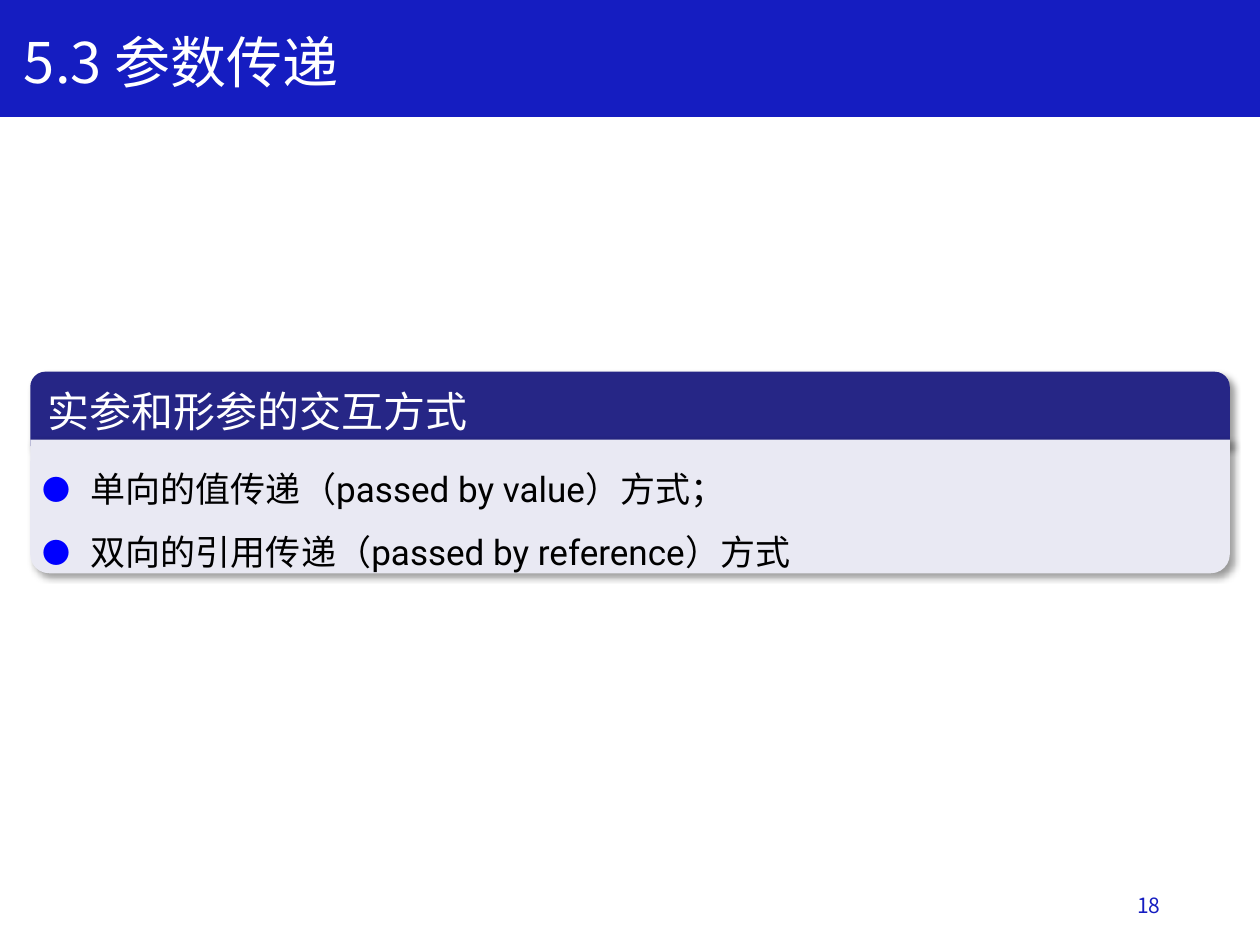
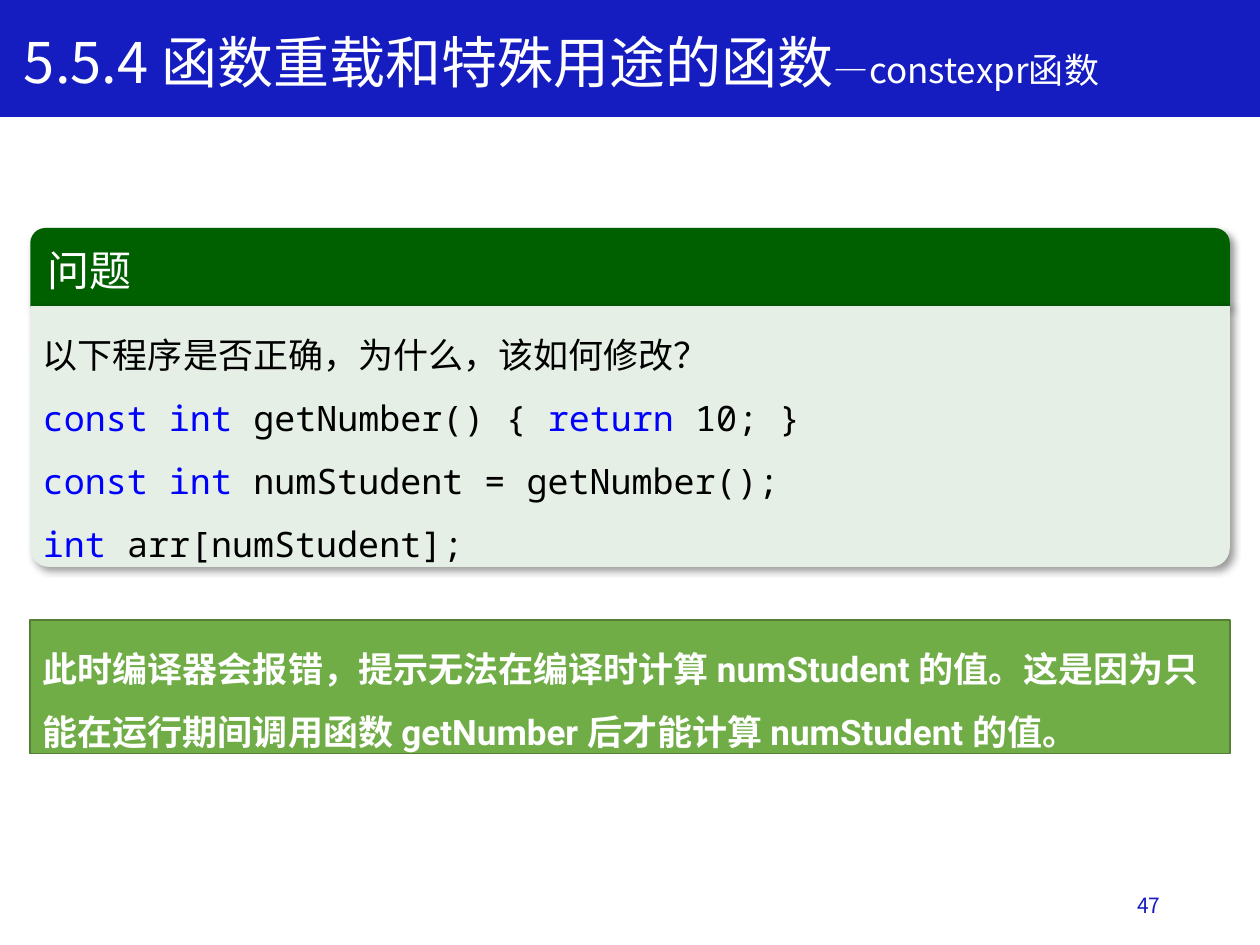
"""Build two lecture slides on parameter passing and constexpr functions."""
from dataclasses import dataclass

from lxml.etree import SubElement
from pptx import Presentation
from pptx.dml.color import RGBColor
from pptx.enum.shapes import MSO_SHAPE
from pptx.enum.text import MSO_ANCHOR, MSO_AUTO_SIZE, PP_ALIGN
from pptx.oxml.ns import qn
from pptx.util import Inches, Pt


@dataclass(frozen=True)
class TextStyle:
    """Font, size, colour and weight of a span."""
    font: str
    size: int
    color: str
    bold: bool = False


@dataclass(frozen=True)
class Theme:
    """Colours, fonts and type sizes of the deck."""
    chinese: str = "Noto Sans CJK SC"
    band: str = "151DC1"
    bullet: str = "0000FF"
    blue_panel: tuple = ("262686", "E9E9F3")
    green_panel: tuple = ("006000", "E5EFE5")
    answer_fill: str = "70AD47"
    answer_line: str = "538035"
    title: TextStyle = TextStyle("Noto Sans CJK SC", 32, "FFFFFF")
    subtitle: TextStyle = TextStyle("Noto Sans CJK SC", 20, "FFFFFF")
    heading: TextStyle = TextStyle("Noto Sans CJK SC", 24, "FFFFFF")
    number: TextStyle = TextStyle("Noto Sans CJK SC", 12, "151DC1")
    body: TextStyle = TextStyle("Noto Sans CJK SC", 20, "000000")
    latin: TextStyle = TextStyle("Roboto", 20, "000000")
    code: TextStyle = TextStyle("Noto Sans Mono", 20, "000000")
    keyword: TextStyle = TextStyle("Noto Sans Mono", 20, "0000FF")
    answer: TextStyle = TextStyle("Noto Sans CJK SC", 20, "FFFFFF", True)
    answer_latin: TextStyle = TextStyle("Roboto", 20, "FFFFFF", True)


THEME = Theme()
LEFT, WIDTH = 0.24, 9.52
HEADER_RADIUS, BODY_RADIUS = 0.12, 0.15


class SlideBuilder:
    """Hold the theme and the current slide, and draw each kind of element."""

    def __init__(self, deck, theme):
        """Keep the deck, its content layout and the theme."""
        self.deck = deck
        self.theme = theme
        self.layout = deck.slide_layouts[1]
        self.slide = None

    def start_slide(self, title_spans, page_number):
        """Add a slide with its title and page number."""
        self.slide = self.deck.slides.add_slide(self.layout)
        if len(self.deck.slides) == 1:
            self.add_shared_band()
        title = self.slide.shapes.title
        self.place(title, 0.09, 0.17, 9.5, 0.64)
        self.fill_text(title.text_frame, [title_spans])
        box = self.slide.shapes.add_textbox(Inches(7.06), Inches(6.98), Inches(2.25), Inches(0.4))
        self.fill_text(box.text_frame, [[(str(page_number), self.theme.number)]],
                       anchor=MSO_ANCHOR.MIDDLE, align=PP_ALIGN.RIGHT)

    def add_shared_band(self):
        """Draw the title band and move it to the shared layout."""
        band = self.add_box(MSO_SHAPE.RECTANGLE, 0, 0, 10, 0.92, self.theme.band, self.theme.band)
        self.layout.shapes._spTree.insert(2, band._element)

    def place(self, shape, left, top, width, height):
        """Move and size a shape in inches."""
        shape.left, shape.top = Inches(left), Inches(top)
        shape.width, shape.height = Inches(width), Inches(height)

    def add_box(self, kind, left, top, width, height, fill, line=None):
        """Add a filled shape, outlined when a line colour is given."""
        box = self.slide.shapes.add_shape(kind, Inches(left), Inches(top), Inches(width), Inches(height))
        box.shadow.inherit = False
        box.fill.solid()
        box.fill.fore_color.rgb = RGBColor.from_string(fill)
        if line:
            box.line.color.rgb = RGBColor.from_string(line)
            box.line.width = Pt(1)
        else:
            box.line.fill.background()
        return box

    def add_rounded_box(self, top, height, fill, top_radius, bottom_radius):
        """Add a shadowed full-width box with rounded top or bottom corners."""
        box = self.add_box(MSO_SHAPE.ROUND_2_SAME_RECTANGLE, LEFT, top, WIDTH, height, fill)
        box.adjustments[0] = top_radius / height
        box.adjustments[1] = bottom_radius / height
        effects = box._element.spPr.find(qn("a:effectLst"))
        shadow = SubElement(effects, qn("a:outerShdw"), blurRad=str(Pt(4)), dist=str(Pt(3)),
                            dir="2700000", algn="tl", rotWithShape="0")
        color = SubElement(shadow, qn("a:srgbClr"), val="000000")
        SubElement(color, qn("a:alpha"), val="40000")
        return box

    def add_panel(self, heading, lines, colors, top, header_height, body_top, body_height, bullets=False):
        """Add a heading bar above a body that holds the slide's main text."""
        header_fill, body_fill = colors
        header = self.add_rounded_box(top, header_height, header_fill, HEADER_RADIUS, 0)
        self.fill_text(header.text_frame, [[(heading, self.theme.heading)]], anchor=MSO_ANCHOR.MIDDLE)
        self.add_rounded_box(body_top, body_height, body_fill, 0, BODY_RADIUS)
        body = self.slide.placeholders[1]
        self.place(body, LEFT, body_top, WIDTH, body_height)
        self.slide.shapes._spTree.append(body._element)
        self.fill_text(body.text_frame, lines, spacing=1.5, bullets=bullets)

    def add_answer(self, spans, top, height):
        """Add the outlined answer box."""
        box = self.add_box(MSO_SHAPE.RECTANGLE, LEFT, top, WIDTH, height,
                           self.theme.answer_fill, self.theme.answer_line)
        self.fill_text(box.text_frame, [spans], spacing=1.5)

    def fill_text(self, frame, lines, anchor=MSO_ANCHOR.TOP, align=PP_ALIGN.LEFT, spacing=1.0, bullets=False):
        """Fill a text frame with one paragraph per line of styled spans."""
        frame.word_wrap = True
        frame.auto_size = MSO_AUTO_SIZE.NONE
        frame.vertical_anchor = anchor
        for index, spans in enumerate(lines):
            para = frame.add_paragraph() if index else frame.paragraphs[0]
            para.alignment = align
            para.line_spacing = spacing
            para.space_before = Pt(0)
            self.set_bullet(para, bullets)
            for text, style in spans:
                self.add_span(para, text, style)

    def set_bullet(self, para, shown):
        """Give a paragraph a round bullet or none."""
        properties = para._p.get_or_add_pPr()
        indent = Inches(0.38) if shown else 0
        properties.set("marL", str(indent))
        properties.set("indent", str(-indent))
        if not shown:
            SubElement(properties, qn("a:buNone"))
            return
        color = SubElement(properties, qn("a:buClr"))
        SubElement(color, qn("a:srgbClr"), val=self.theme.bullet)
        SubElement(properties, qn("a:buSzPct"), val="80000")
        SubElement(properties, qn("a:buFont"), typeface=self.theme.chinese)
        SubElement(properties, qn("a:buChar"), char="●")

    def add_span(self, para, text, style):
        """Append a styled run to a paragraph."""
        span = para.add_run()
        span.text = text
        span.font.size = Pt(style.size)
        span.font.bold = style.bold
        span.font.color.rgb = RGBColor.from_string(style.color)
        span.font.name = style.font
        SubElement(span._r.get_or_add_rPr(), qn("a:ea"), typeface=self.theme.chinese)


def build_parameter_slide(builder):
    """Build the slide on passing parameters."""
    theme = builder.theme
    builder.start_slide([("5.3 参数传递", theme.title)], 18)
    lines = [
        [("单向的值传递（", theme.body), ("passed by value", theme.latin), ("）方式；", theme.body)],
        [("双向的引用传递（", theme.body), ("passed by reference", theme.latin), ("）方式", theme.body)],
    ]
    builder.add_panel("实参和形参的交互方式", lines, theme.blue_panel, top=2.95, header_height=0.59,
                      body_top=3.49, body_height=1.06, bullets=True)


def build_constexpr_slide(builder):
    """Build the slide on constexpr functions."""
    theme = builder.theme
    builder.start_slide([("5.5.4 函数重载和特殊用途的函数", theme.title),
                         ("—constexpr函数", theme.subtitle)], 47)
    lines = [
        [("以下程序是否正确，为什么，该如何修改？", theme.body)],
        [("const int ", theme.keyword), ("getNumber() { ", theme.code),
         ("return ", theme.keyword), ("10; }", theme.code)],
        [("const int ", theme.keyword), ("numStudent = getNumber();", theme.code)],
        [("int ", theme.keyword), ("arr[numStudent];", theme.code)],
    ]
    builder.add_panel("问题", lines, theme.green_panel, top=1.81, header_height=0.63,
                      body_top=2.43, body_height=2.07)
    answer = [
        ("此时编译器会报错，提示无法在编译时计算 ", theme.answer), ("numStudent ", theme.answer_latin),
        ("的值。这是因为只能在运行期间调用函数 ", theme.answer), ("getNumber ", theme.answer_latin),
        ("后才能计算 ", theme.answer), ("numStudent ", theme.answer_latin), ("的值。", theme.answer),
    ]
    builder.add_answer(answer, top=4.92, height=1.06)


def main():
    """Create the deck and save it."""
    deck = Presentation()
    deck.slide_width, deck.slide_height = Inches(10), Inches(7.5)
    builder = SlideBuilder(deck, THEME)
    build_parameter_slide(builder)
    build_constexpr_slide(builder)
    deck.save("out.pptx")


if __name__ == "__main__":
    main()
